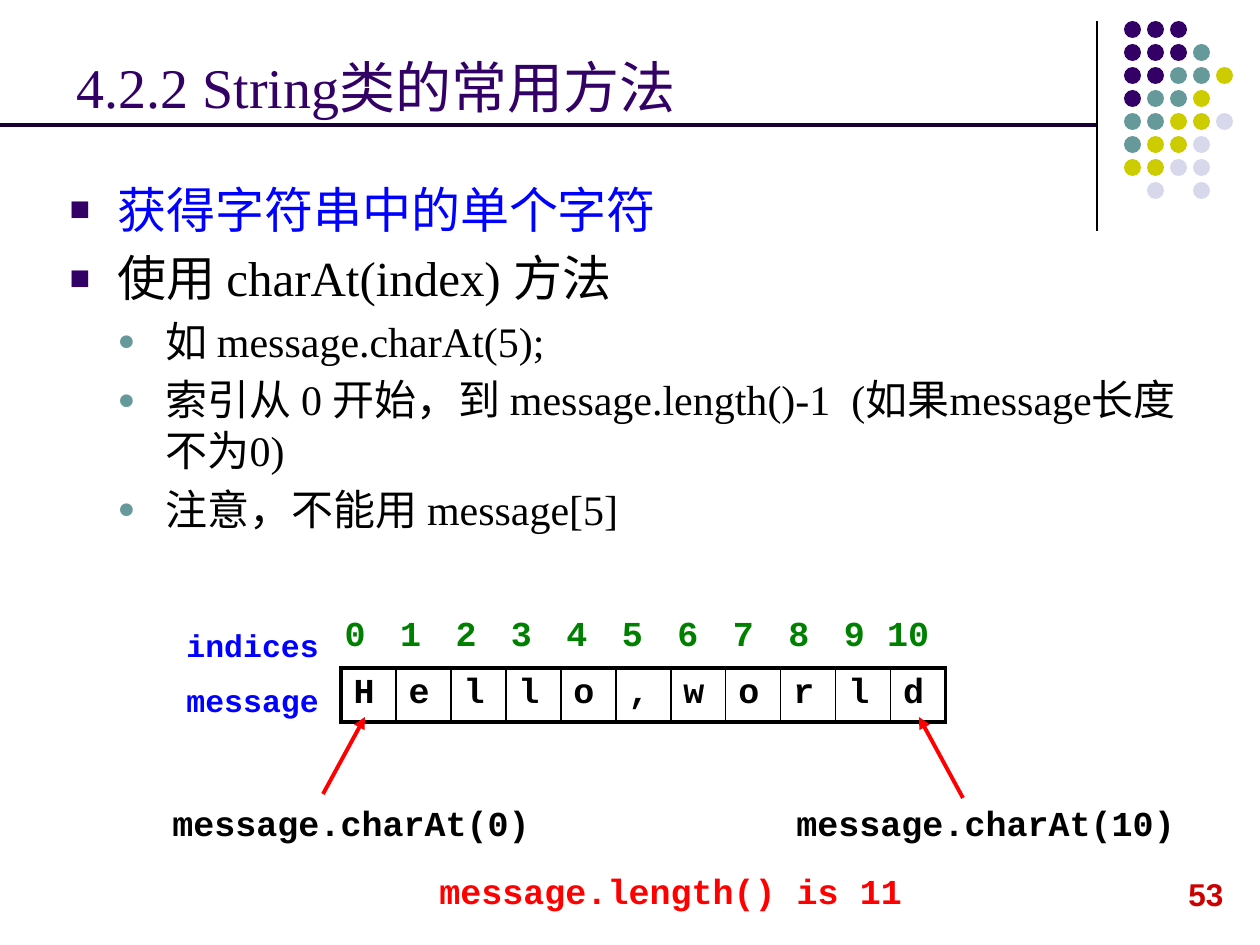
from typing import NamedTuple

from lxml import etree
from pptx import Presentation
from pptx import util as u
from pptx.dml.color import RGBColor
from pptx.enum import shapes, text
from pptx.oxml.ns import qn

PURPLE = RGBColor(0x33, 0x00, 0x66)
DARK_PURPLE = RGBColor(0x19, 0x00, 0x33)
TEAL = RGBColor(0x66, 0x99, 0x99)
OLIVE = RGBColor(0xCC, 0xCC, 0x00)
LILAC = RGBColor(0xD8, 0xD8, 0xEC)
BLACK = RGBColor(0x00, 0x00, 0x00)
BLUE = RGBColor(0x00, 0x00, 0xFF)
GREEN = RGBColor(0x00, 0x80, 0x00)
RED = RGBColor(0xFF, 0x00, 0x00)
DARK_RED = RGBColor(0xCC, 0x00, 0x00)

SERIF, MONO, SANS = "Times New Roman", "Courier New", "Arial"
PX_PER_INCH = 126


class Box(NamedTuple):
    left: int
    top: int
    width: int
    height: int


class Label(NamedTuple):
    words: str
    box: Box
    size: int
    color: RGBColor
    font: str = MONO


class Line(NamedTuple):
    start: tuple[int, int]
    end: tuple[int, int]
    color: RGBColor
    weight: float
    arrow: bool = False


class Bullet(NamedTuple):
    words: str
    level: int = 0
    color: RGBColor = BLACK


class BulletStyle(NamedTuple):
    char: str
    color: RGBColor
    size: int
    indent: int


BULLET_STYLES = [BulletStyle("■", PURPLE, 28, 48), BulletStyle("●", TEAL, 24, 96)]
BULLETS = [
    Bullet("获得字符串中的单个字符", color=BLUE),
    Bullet("使用 charAt(index) 方法"),
    Bullet("如 message.charAt(5);", 1),
    Bullet("索引从 0 开始，到 message.length()-1  (如果message长度不为0)", 1),
    Bullet("注意，不能用 message[5]", 1),
]
DOT_COLORS = {"P": PURPLE, "T": TEAL, "O": OLIVE, "L": LILAC}
DOT_ROWS = ["PPP", "PPPT", "PPTTO", "PTTO", "TTOOL", "TOOL", "OOLL", " L L"]

LABELS = [
    Label("message", Box(174, 675, 159, 50), 18, BLUE),
    Label("indices", Box(174, 620, 159, 50), 18, BLUE),
    Label("message.charAt(0)", Box(160, 795, 386, 55), 20, BLACK),
    Label("message.charAt(10)", Box(784, 795, 407, 55), 20, BLACK),
    Label("message.length() is 11", Box(427, 863, 491, 55), 20, RED),
    Label("53", Box(1176, 869, 64, 50), 18, DARK_RED, SANS),
]
LINES = [
    Line((1097, 21), (1097, 231), BLACK, 0.75),
    Line((0, 125), (1096, 125), DARK_PURPLE, 2.25),
    Line((323, 794), (365, 717), RED, 2.25, arrow=True),
    Line((963, 798), (919, 717), RED, 2.25, arrow=True),
]


def px(n: float) -> int:
    return round(n * u.Inches(1) / PX_PER_INCH)


def add_xml(parent, tag: str, **attributes):
    return etree.SubElement(parent, qn(tag), attributes)


def write(paragraph, words: str, *, size: int, color: RGBColor, font: str, bold: bool = False) -> None:
    run = paragraph.add_run()
    run.text = words
    run.font.size = u.Pt(size)
    run.font.name = font
    run.font.bold = bold
    run.font.color.rgb = color


def place(shape, box: Box) -> None:
    shape.left, shape.top, shape.width, shape.height = map(px, box)


def add_label(slide, label: Label) -> None:
    frame = slide.shapes.add_textbox(*map(px, label.box)).text_frame
    frame.word_wrap = False
    write(frame.paragraphs[0], label.words, size=label.size, color=label.color,
          font=label.font, bold=True)


def add_line(slide, line: Line) -> None:
    connector = slide.shapes.add_connector(
        shapes.MSO_CONNECTOR.STRAIGHT, *map(px, line.start + line.end))
    connector.line.color.rgb = line.color
    connector.line.width = u.Pt(line.weight)
    if line.arrow:
        add_xml(connector.line._get_or_add_ln(), "a:tailEnd", type="triangle")
    add_xml(connector._element.spPr, "a:effectLst")


def add_dots(slide, left: int, top: int, pitch: int, diameter: int) -> None:
    group = slide.shapes.add_group_shape()
    for row, letters in enumerate(DOT_ROWS):
        for column, letter in enumerate(letters):
            if letter == " ":
                continue
            dot = group.shapes.add_shape(
                shapes.MSO_SHAPE.OVAL, px(left + column * pitch), px(top + row * pitch),
                px(diameter), px(diameter))
            dot.shadow.inherit = False
            dot.fill.solid()
            dot.fill.fore_color.rgb = DOT_COLORS[letter]
            dot.line.fill.background()


def set_border(cell, side: str, weight: float) -> None:
    """Draw one side of a cell in black, or hide it when the weight is 0."""
    border = add_xml(cell._tc.get_or_add_tcPr(), f"a:ln{side}", w=str(u.Pt(weight)))
    if weight:
        add_xml(add_xml(border, "a:solidFill"), "a:srgbClr", val=str(BLACK))
    else:
        add_xml(border, "a:noFill")


def add_strip(slide, entries: list[str], box: Box, widths: list[int], color: RGBColor,
              inner: float = 0, outer: float = 0) -> None:
    """Add a one-row table with the given inner and outer border weights."""
    table = slide.shapes.add_table(1, len(entries), *map(px, box)).table
    table.first_row = table.horz_banding = False
    last = len(entries) - 1
    for index, (entry, width) in enumerate(zip(entries, widths)):
        table.columns[index].width = px(width)
        cell = table.cell(0, index)
        cell.margin_right = 0
        write(cell.text_frame.paragraphs[0], entry, size=20, color=color, font=MONO, bold=True)
        set_border(cell, "L", outer if index == 0 else inner)
        set_border(cell, "R", outer if index == last else inner)
        set_border(cell, "T", outer)
        set_border(cell, "B", outer)
        cell.fill.background()


def add_bullet(paragraph, bullet: Bullet, first: bool) -> None:
    style = BULLET_STYLES[bullet.level]
    paragraph.level = bullet.level
    properties = paragraph._p.get_or_add_pPr()
    properties.set("marL", str(px(style.indent)))
    properties.set("indent", str(px(-48)))
    space = add_xml(properties, "a:spcBef")
    add_xml(space, "a:spcPct", val="0" if first else "20000")
    add_xml(add_xml(properties, "a:buClr"), "a:srgbClr", val=str(style.color))
    add_xml(properties, "a:buSzPct", val="70000")
    add_xml(properties, "a:buFont", typeface=SANS)
    add_xml(properties, "a:buChar", char=style.char)
    write(paragraph, bullet.words, size=style.size, color=bullet.color, font=SERIF)


def main() -> None:
    deck = Presentation()
    deck.slide_width, deck.slide_height = px(1260), px(945)
    slide = deck.slides.add_slide(deck.slide_layouts[1])
    title, body = slide.placeholders

    place(title, Box(64, 26, 1040, 100))
    title.text_frame.vertical_anchor = text.MSO_ANCHOR.BOTTOM
    heading = title.text_frame.paragraphs[0]
    heading.alignment = text.PP_ALIGN.LEFT
    write(heading, "4.2.2 String类的常用方法", size=32, color=PURPLE, font=SERIF)

    place(body, Box(57, 173, 1134, 396))
    frame = body.text_frame
    for index, bullet in enumerate(BULLETS):
        paragraph = frame.add_paragraph() if index else frame.paragraphs[0]
        add_bullet(paragraph, bullet, first=index == 0)
    for placeholder in (title, body):
        placeholder.text_frame.auto_size = text.MSO_AUTO_SIZE.NONE

    add_dots(slide, left=1124, top=21, pitch=23, diameter=17)
    add_strip(slide, list("Hello,world"), Box(341, 668, 605, 54), [55] * 11, BLACK,
              inner=1, outer=2.25)
    add_strip(slide, [str(n) for n in range(11)], Box(332, 611, 610, 54),
              [55.5] * 9 + [43.5, 67], GREEN)
    for label in LABELS:
        add_label(slide, label)
    for line in LINES:
        add_line(slide, line)
    deck.save("out.pptx")


if __name__ == "__main__":
    main()
